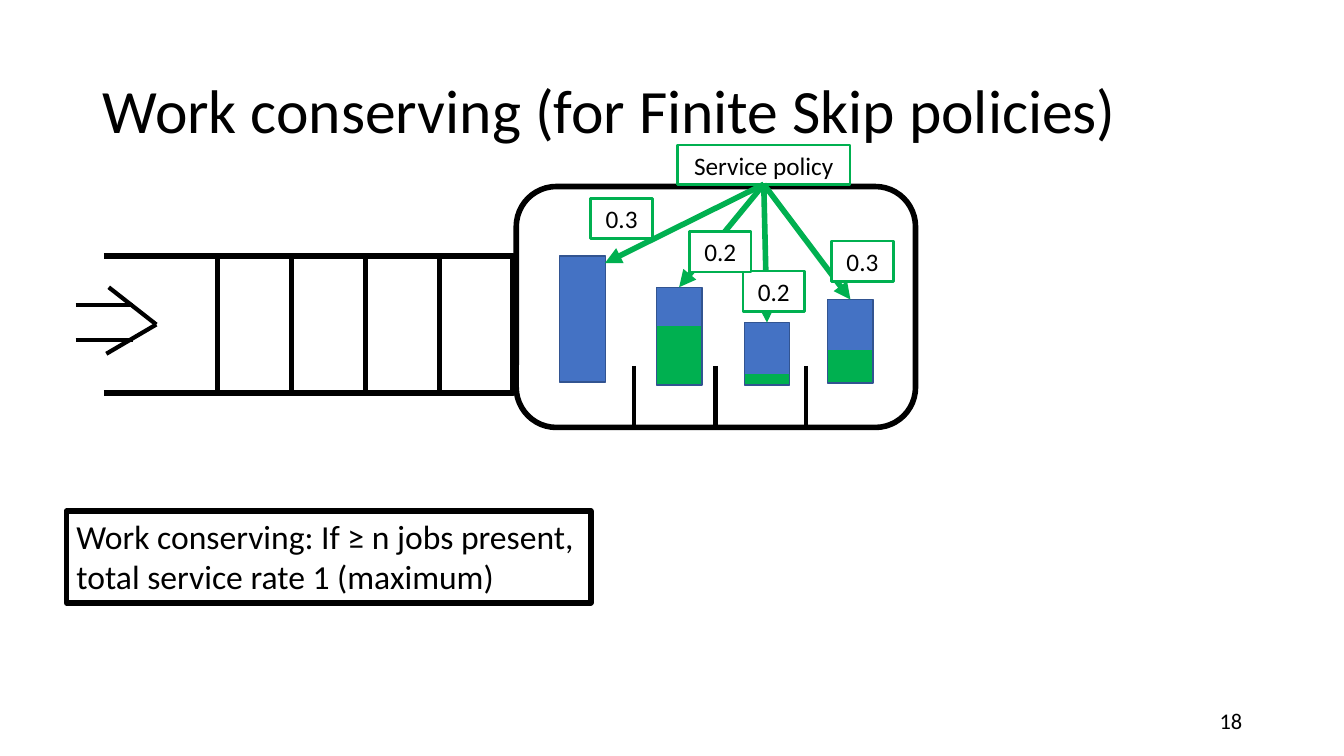
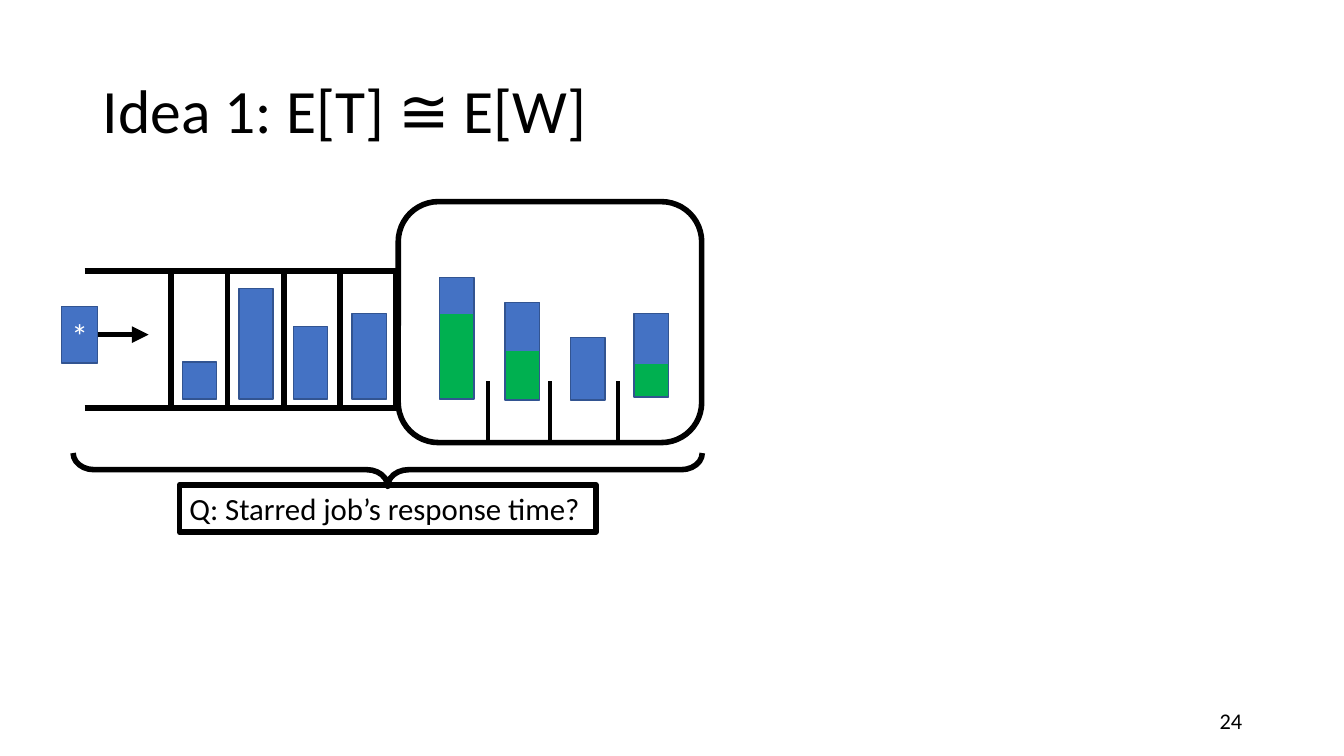
from dataclasses import dataclass

from lxml import etree
from pptx import Presentation
from pptx.dml.color import RGBColor
from pptx.enum.shapes import MSO_CONNECTOR, MSO_SHAPE
from pptx.enum.text import MSO_ANCHOR, PP_ALIGN
from pptx.oxml.ns import qn
from pptx.util import Inches, Pt

STRAIGHT = MSO_CONNECTOR.STRAIGHT
RECTANGLE = MSO_SHAPE.RECTANGLE
ROUNDED = MSO_SHAPE.ROUNDED_RECTANGLE
BRACE = MSO_SHAPE.RIGHT_BRACE
LEFT, CENTER, RIGHT = PP_ALIGN.LEFT, PP_ALIGN.CENTER, PP_ALIGN.RIGHT
TOP, MIDDLE = MSO_ANCHOR.TOP, MSO_ANCHOR.MIDDLE
TOP_SIDE, BOTTOM_SIDE, RIGHT_SIDE = 0, 2, 3

BLACK = RGBColor(0x00, 0x00, 0x00)
WHITE = RGBColor(0xFF, 0xFF, 0xFF)
BLUE = RGBColor(0x44, 0x72, 0xC4)
DARK_BLUE = RGBColor(0x32, 0x54, 0x91)
GREEN = RGBColor(0x00, 0xB0, 0x50)
FONT = "Calibri"
TITLE_ONLY = 5
CELL_COUNT = 4
CELLS_START = 27.8
DIVIDERS = (29.5, 49.9, 72.5)
JOB_WIDTH = 11.4
QUEUED_JOB_WIDTH = 11
QUEUED_JOB_BOTTOM = 93.4


@dataclass
class Box:
    left: float
    top: float
    width: float
    height: float

    def point(self, across, down):
        return (self.left + self.width * across / 100,
                self.top + self.height * down / 100)

    def region(self, left, top, width, height):
        return Box(*self.point(left, top),
                   self.width * width / 100, self.height * height / 100)

    def lengths(self):
        return [Inches(value) for value in
                (self.left, self.top, self.width, self.height)]


PAGE = Box(0, 0, 13.33, 7.5)


def write(shape, text, size, color=BLACK, align=LEFT, anchor=TOP):
    frame = shape.text_frame
    frame.word_wrap = True
    frame.vertical_anchor = anchor
    paragraph = frame.paragraphs[0]
    paragraph.text = text
    paragraph.alignment = align
    paragraph.font.name = FONT
    paragraph.font.size = Pt(size)
    paragraph.font.color.rgb = color
    return paragraph


def set_outline(shape, color, width):
    shape.line.color.rgb = color
    shape.line.width = Pt(width)


def set_fill(shape, color):
    if color is None:
        shape.fill.background()
    else:
        shape.fill.solid()
        shape.fill.fore_color.rgb = color


def add_outlined(slide, kind, box, fill=None, line=BLACK, width=4):
    shape = slide.shapes.add_shape(kind, *box.lengths())
    shape.shadow.inherit = False
    set_fill(shape, fill)
    set_outline(shape, line, width)
    return shape


def add_label(slide, box, text, size, align=LEFT, fill=None, line=BLACK, width=4):
    label = slide.shapes.add_textbox(*box.lengths())
    set_fill(label, fill)
    set_outline(label, line, width)
    write(label, text, size, align=align)
    return label


def add_line(slide, start, end, color=BLACK, width=4, arrow=False):
    line = slide.shapes.add_connector(
        STRAIGHT, *[Inches(value) for value in (*start, *end)])
    set_outline(line, color, width)
    properties = line.element.spPr
    if arrow:
        etree.SubElement(properties.find(qn("a:ln")), qn("a:tailEnd"), type="triangle")
    etree.SubElement(properties, qn("a:effectLst"))
    return line


def add_job(slide, box, served=0):
    job = add_outlined(slide, RECTANGLE, box, BLUE, DARK_BLUE, 1)
    if served:
        job.fill.gradient()
        job.fill.gradient_angle = 270
        stops = job.element.spPr.find(qn("a:gradFill")).find(qn("a:gsLst"))
        for stop in list(stops):
            stops.remove(stop)
        edge = 100 - served
        for position, color in ((0, BLUE), (edge, BLUE), (edge, GREEN), (100, GREEN)):
            stop = etree.SubElement(stops, qn("a:gs"), pos=str(position * 1000))
            etree.SubElement(stop, qn("a:srgbClr"), val=str(color))
    return job


def add_queue(slide, box, jobs=()):
    for down in (0, 100):
        add_line(slide, box.point(0, down), box.point(100, down))
    cell_width = (100 - CELLS_START) / CELL_COUNT
    for index in reversed(range(CELL_COUNT)):
        cell = box.region(CELLS_START + index * cell_width, 0, cell_width, 100)
        add_outlined(slide, RECTANGLE, cell, WHITE)
    for left, height in jobs:
        add_job(slide, box.region(left, QUEUED_JOB_BOTTOM - height,
                                  QUEUED_JOB_WIDTH, height))


def add_server(slide, box, jobs):
    shapes = [add_job(slide, box.region(left, top, JOB_WIDTH, height), served)
              for left, top, height, served in jobs]
    add_outlined(slide, ROUNDED, box)
    for across in DIVIDERS:
        add_line(slide, box.point(across, 74.5), box.point(across, 100), width=3)
    return shapes


def add_arrival(slide, box):
    strokes = (((41, 0), (100, 56)), ((38, 100), (100, 56)),
               ((0, 27), (71, 27)), ((0, 79), (71, 79)))
    for start, end in strokes:
        add_line(slide, box.point(*start), box.point(*end), width=3)


def add_policy(slide, box, jobs):
    policy = add_label(slide, box.region(40.4, -17.2, 43.2, 16.3), "Service policy",
                       18, CENTER, line=GREEN, width=2)
    origin = box.point(62, -0.9)
    for index, job in enumerate(jobs):
        arrow = add_line(slide, origin, box.point(22.2, 31.8), GREEN, arrow=True)
        arrow.begin_connect(policy, BOTTOM_SIDE)
        if index:
            arrow.end_connect(job, TOP_SIDE)
    for left, top, rate in ((18.7, 5, "0.3"), (79, 22.6, "0.3"),
                            (56.8, 35.1, "0.2"), (43.4, 18.8, "0.2")):
        add_label(slide, box.region(left, top, 15.4, 16.7), rate, 18, CENTER,
                  WHITE, GREEN, 2)


def add_starred_job(slide, box):
    job = add_job(slide, box)
    write(job, "*", 24, WHITE, CENTER, MIDDLE)
    arrow = add_line(slide, box.point(100, 50), box.point(240, 50), arrow=True)
    arrow.begin_connect(job, RIGHT_SIDE)


def add_brace(slide, box):
    center_x, center_y = box.point(50, 50)
    upright = Box(center_x - box.height / 2, center_y - box.width / 2,
                  box.height, box.width)
    brace = add_outlined(slide, BRACE, upright)
    brace.adjustments[0] = 0.63
    brace.adjustments[1] = 0.5
    brace.rotation = 90


def add_titled_slide(presentation, title, number):
    slide = presentation.slides.add_slide(presentation.slide_layouts[TITLE_ONLY])
    heading = slide.shapes.title
    heading.left, heading.top, heading.width, heading.height = PAGE.region(
        6.9, 5.33, 86.27, 19.33).lengths()
    write(heading, title, 44, anchor=MIDDLE).line_spacing = 0.9
    footer = slide.shapes.add_textbox(*PAGE.region(70.67, 92.67, 22.5, 5.33).lengths())
    write(footer, number, 16, align=RIGHT, anchor=MIDDLE)
    return slide


def build_work_conserving(presentation):
    slide = add_titled_slide(
        presentation, "Work conserving (for Finite Skip policies)", "18")
    server = PAGE.region(38.41, 24.67, 29.71, 31.87)
    add_arrival(slide, PAGE.region(5.63, 38, 6, 8.8))
    add_queue(slide, PAGE.region(7.73, 33.87, 30.46, 18.13))
    jobs = add_server(slide, server, (
        (10.9, 28.9, 52.3, 0), (35.1, 41.8, 40.6, 60),
        (57.1, 56.5, 25.9, 17), (78, 46.9, 34.7, 40)))
    add_policy(slide, server, jobs)
    add_label(slide, PAGE.region(4.95, 67.6, 39.01, 12.13),
              "Work conserving: If ≥ n jobs present, "
              "total service rate 1 (maximum)", 24)


def build_response_time(presentation):
    slide = add_titled_slide(presentation, "Idea 1: E[T] ≅ E[W]", "24")
    add_queue(slide, PAGE.region(6.3, 35.87, 23.18, 18.13),
              ((31.4, 27.2), (49.5, 80.9), (67, 52.9), (85.8, 62.5)))
    add_server(slide, PAGE.region(29.63, 26.67, 22.58, 31.87), (
        (13.6, 31.4, 50.6, 70), (35.2, 41.8, 40.6, 50),
        (56.8, 56.5, 25.9, 0), (77.7, 46.4, 34.7, 40)))
    add_starred_job(slide, PAGE.region(4.58, 40.53, 2.7, 7.47))
    add_brace(slide, PAGE.region(5.44, 59.93, 46.81, 4.4))
    add_label(slide, PAGE.region(13.35, 64.13, 30.98, 6.27),
              "Q: Starred job’s response time?", 22)


def main():
    presentation = Presentation()
    presentation.slide_width = Inches(PAGE.width)
    presentation.slide_height = Inches(PAGE.height)
    build_work_conserving(presentation)
    build_response_time(presentation)
    presentation.save("out.pptx")


if __name__ == "__main__":
    main()
